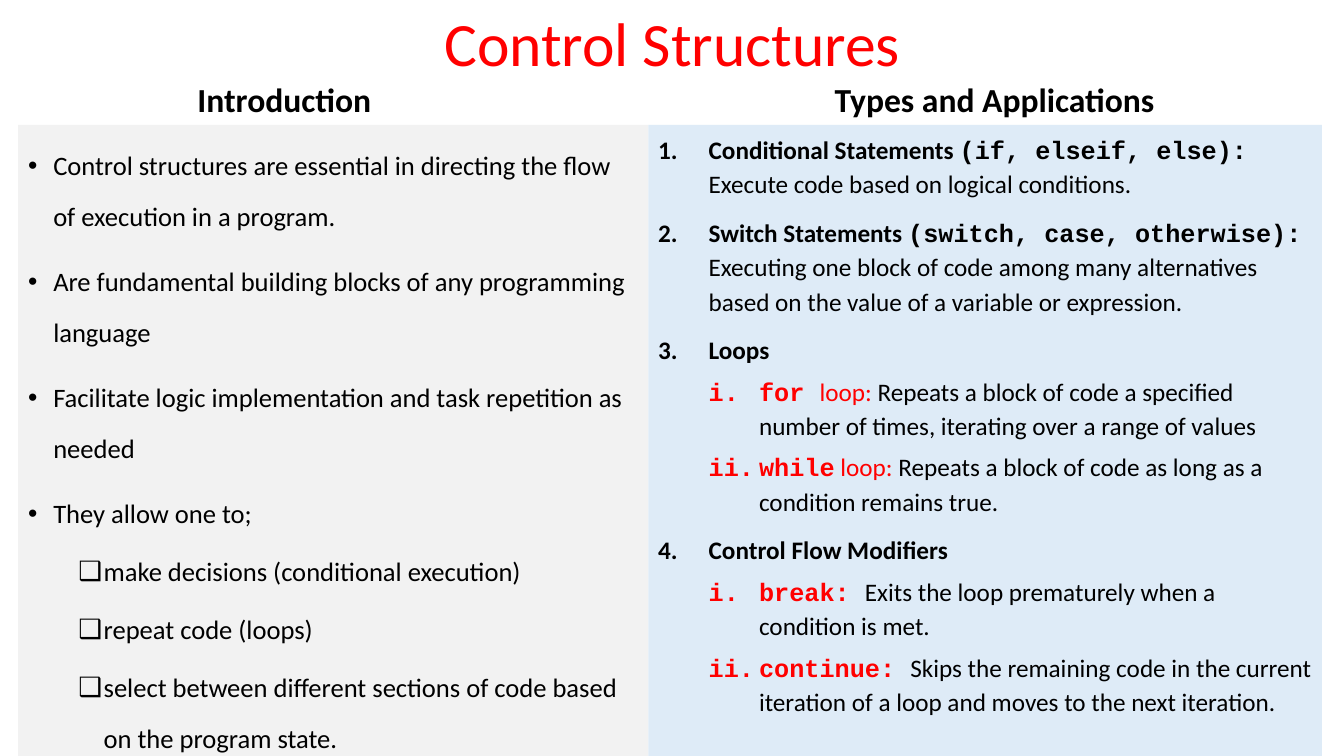
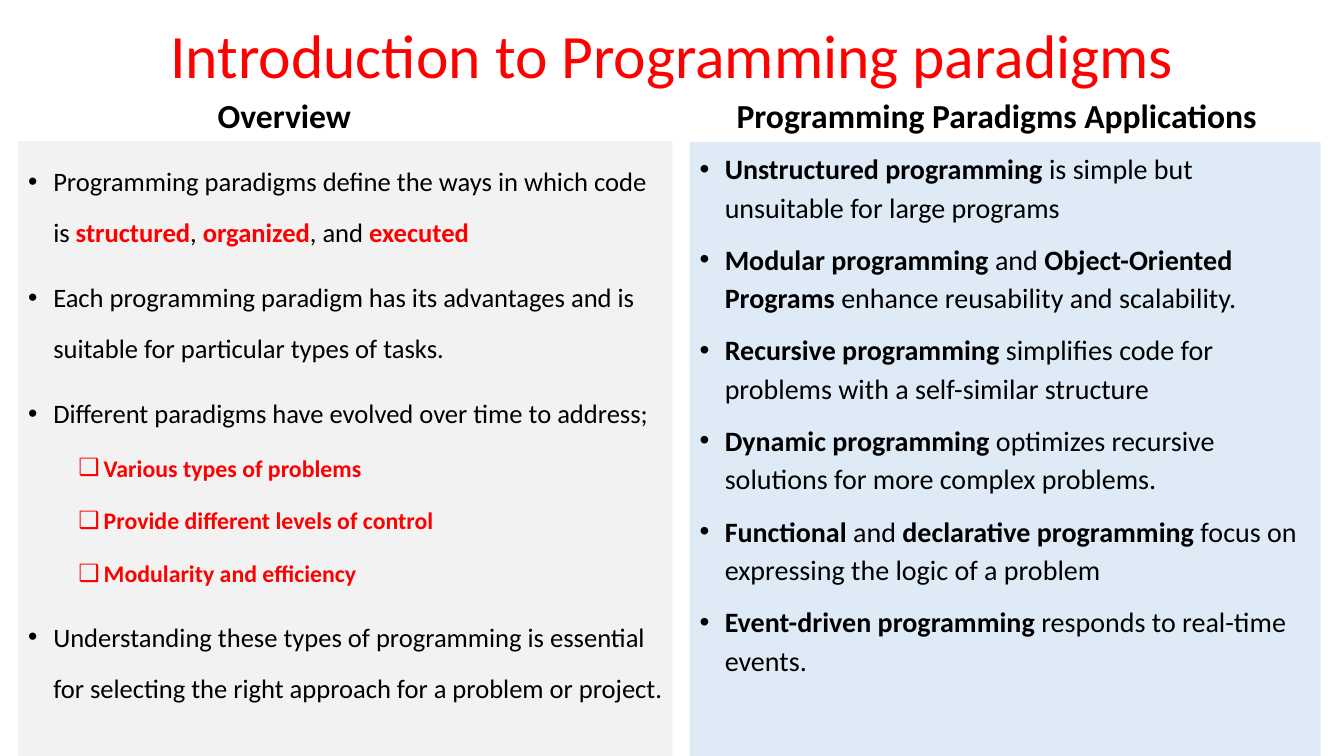
from dataclasses import dataclass

from lxml.etree import SubElement
from pptx import Presentation
from pptx.dml.color import RGBColor
from pptx.enum.shapes import MSO_SHAPE as Shape
from pptx.enum.text import MSO_ANCHOR as Anchor, PP_ALIGN as Align
from pptx.oxml.ns import qn
from pptx.util import Inches, Pt

# Shared look
SLIDE_WIDTH, SLIDE_HEIGHT = 13.33, 7.5
BLACK, RED = "000000", "FF0000"
GREY_PANEL, BLUE_PANEL = "F2F2F2", "DEEBF7"
BODY_FONT, CODE_FONT = "Calibri", "Courier New"
BOLD = {"bold": True}
RED_TEXT = {"color": RED}
RED_BOLD = {"color": RED, "bold": True}
CODE = {"font": CODE_FONT, "bold": True}
RED_CODE = CODE | RED_TEXT


@dataclass
class Marker:
    level: int
    indent: float
    hanging: float
    symbol: str = ""
    numbering: str = ""


BULLET = Marker(0, 0.25, 0.25, symbol="•")
CHECKBOX = Marker(1, 0.75, 0.25, symbol="❑")
NUMBER = Marker(0, 0.5, 0.5, numbering="arabicPeriod")
ROMAN = Marker(1, 1, 0.5, numbering="romanLcPeriod")


@dataclass
class Column:
    heading: str
    heading_box: tuple  # left, width, height
    panel_box: tuple  # left, top, width
    fill: str
    size: float
    line_spacing: float
    items: list  # (marker, run, run, ...); a run is text or (text, format)


def rgb(color):
    return RGBColor.from_string(color)


def add_text(paragraph, text, *, size, font=BODY_FONT, color=BLACK, bold=False):
    run = paragraph.add_run()
    run.text = text
    run.font.size = Pt(size)
    run.font.name = font
    run.font.bold = bold
    run.font.color.rgb = rgb(color)


def add_label(slide, text, left, top, width, height, anchor, space_before=0, **text_format):
    """Centred single-line text box."""
    box = slide.shapes.add_textbox(Inches(left), Inches(top), Inches(width), Inches(height))
    frame = box.text_frame
    frame.word_wrap = True
    frame.vertical_anchor = anchor
    paragraph = frame.paragraphs[0]
    paragraph.alignment = Align.CENTER
    paragraph.line_spacing = 0.9
    paragraph.space_before = Pt(space_before)
    add_text(paragraph, text, **text_format)


def set_marker(paragraph, marker):
    paragraph.level = marker.level
    properties = paragraph._p.get_or_add_pPr()
    properties.set("marL", str(Inches(marker.indent)))
    properties.set("indent", str(-Inches(marker.hanging)))
    if marker.numbering:
        SubElement(properties, qn("a:buFont"), typeface="+mj-lt")
        SubElement(properties, qn("a:buAutoNum"), type=marker.numbering)
    else:
        SubElement(properties, qn("a:buFont"), typeface="Arial")
        SubElement(properties, qn("a:buChar"), char=marker.symbol)


def add_panel(slide, column):
    """Filled rectangle that reaches the slide's bottom and holds a list."""
    left, top, width = column.panel_box
    panel = slide.shapes.add_shape(Shape.RECTANGLE, Inches(left), Inches(top),
                                   Inches(width), Inches(SLIDE_HEIGHT - top))
    panel.shadow.inherit = False
    panel.fill.solid()
    panel.fill.fore_color.rgb = rgb(column.fill)
    panel.line.fill.background()
    frame = panel.text_frame
    frame.word_wrap = True
    frame.vertical_anchor = Anchor.TOP
    for index, (marker, *runs) in enumerate(column.items):
        paragraph = frame.add_paragraph() if index else frame.paragraphs[0]
        paragraph.alignment = Align.LEFT
        paragraph.line_spacing = column.line_spacing
        paragraph.space_before = Pt(5 if marker.level else 10)
        set_marker(paragraph, marker)
        for run in runs:
            text, text_format = (run, {}) if isinstance(run, str) else run
            add_text(paragraph, text, **{"size": column.size, **text_format})


def add_two_column_slide(presentation, title, title_top, heading_bottom, columns):
    slide = presentation.slides.add_slide(presentation.slide_layouts[6])
    add_label(slide, title, 0.92, title_top, 11.5, 1.1, Anchor.MIDDLE, size=44, color=RED)
    for column in columns:
        left, width, height = column.heading_box
        add_label(slide, column.heading, left, heading_bottom - height, width, height,
                  Anchor.BOTTOM, space_before=10, size=24, bold=True)
        add_panel(slide, column)


# Slide content
CONTROL_INTRODUCTION = [
    (BULLET, "Control structures are essential in directing the flow of execution in a program."),
    (BULLET, "Are fundamental building blocks of any programming language"),
    (BULLET, "Facilitate logic implementation and task repetition as needed"),
    (BULLET, "They allow one to;"),
    (CHECKBOX, "make decisions (conditional execution)"),
    (CHECKBOX, "repeat code (loops)"),
    (CHECKBOX, "select between different sections of code based on the program state."),
]

CONTROL_TYPES = [
    (NUMBER, ("Conditional Statements ", BOLD), ("(if, elseif, else): ", CODE),
     "Execute code based on logical conditions."),
    (NUMBER, ("Switch Statements ", BOLD), ("(switch, case, otherwise): ", CODE),
     "Executing one block of code among many alternatives based on the value of "
     "a variable or expression."),
    (NUMBER, ("Loops", BOLD)),
    (ROMAN, ("for ", RED_CODE), ("loop: ", RED_TEXT),
     "Repeats a block of code a specified number of times, iterating over a range of values"),
    (ROMAN, ("while", RED_CODE), (" loop: ", RED_TEXT),
     "Repeats a block of code as long as a condition remains true."),
    (NUMBER, ("Control Flow Modifiers", BOLD)),
    (ROMAN, ("break: ", RED_CODE), "Exits the loop prematurely when a condition is met."),
    (ROMAN, ("continue: ", RED_CODE),
     "Skips the remaining code in the current iteration of a loop and moves to "
     "the next iteration."),
]

SMALL_RED_BOLD = RED_BOLD | {"size": 17}
PARADIGM_OVERVIEW = [
    (BULLET, "Programming paradigms define the ways in which code is ",
     ("structured", RED_BOLD), ", ", ("organized", RED_BOLD), ", and ", ("executed", RED_BOLD)),
    (BULLET, "Each programming paradigm has its advantages and is suitable for "
     "particular types of tasks."),
    (BULLET, "Different paradigms have evolved over time to address;"),
    (CHECKBOX, ("Various types of problems", SMALL_RED_BOLD)),
    (CHECKBOX, ("Provide different levels of control", SMALL_RED_BOLD)),
    (CHECKBOX, ("Modularity and efficiency", SMALL_RED_BOLD)),
    (BULLET, "Understanding these types of programming is essential for selecting "
     "the right approach for a problem or project."),
]

PARADIGM_APPLICATIONS = [
    (BULLET, ("Unstructured programming", BOLD), " is simple but unsuitable for large programs"),
    (BULLET, ("Modular programming", BOLD), " and ", ("Object-Oriented Programs", BOLD),
     " enhance reusability and scalability."),
    (BULLET, ("Recursive programming", BOLD),
     " simplifies code for problems with a self-similar structure"),
    (BULLET, ("Dynamic programming", BOLD),
     " optimizes recursive solutions for more complex problems."),
    (BULLET, ("Functional ", BOLD), "and ", ("declarative programming", BOLD),
     " focus on expressing the logic of a problem"),
    (BULLET, ("Event-driven programming", BOLD), " responds to real-time events."),
]


def main():
    presentation = Presentation()
    presentation.slide_width = Inches(SLIDE_WIDTH)
    presentation.slide_height = Inches(SLIDE_HEIGHT)

    add_two_column_slide(presentation, "Control Structures", -0.09, 1.24, [
        Column("Introduction", (0, 5.64, 0.55), (0.18, 1.24, 6.25),
               GREY_PANEL, 19, 1.6, CONTROL_INTRODUCTION),
        Column("Types and Applications", (7.03, 5.67, 0.58), (6.43, 1.24, 6.68),
               BLUE_PANEL, 18, 1.14, CONTROL_TYPES),
    ])
    add_two_column_slide(presentation, "Introduction to Programming paradigms", 0.03, 1.4, [
        Column("Overview", (0, 5.64, 0.55), (0.18, 1.4, 6.49),
               GREY_PANEL, 19, 1.6, PARADIGM_OVERVIEW),
        Column("Programming Paradigms Applications", (7.05, 5.67, 0.58), (6.84, 1.41, 6.26),
               BLUE_PANEL, 20, 1.14, PARADIGM_APPLICATIONS),
    ])
    presentation.save("out.pptx")


if __name__ == "__main__":
    main()
